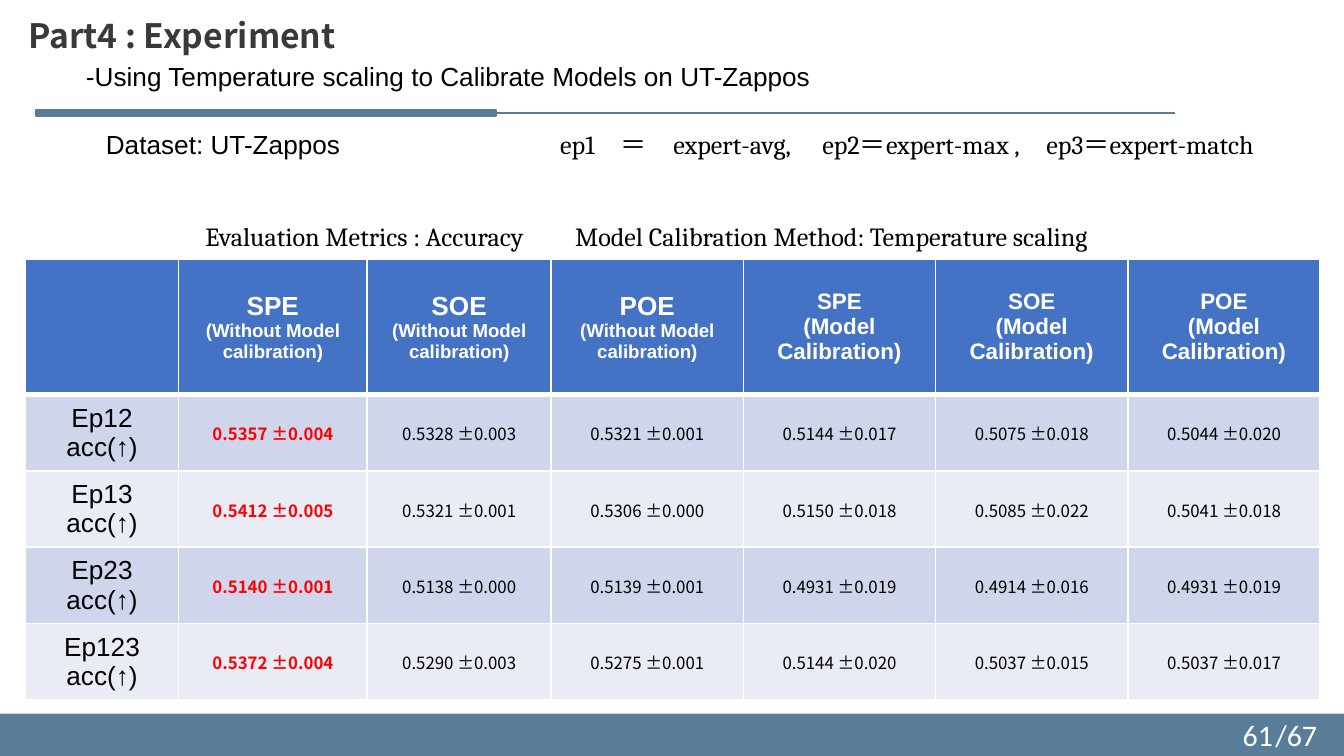
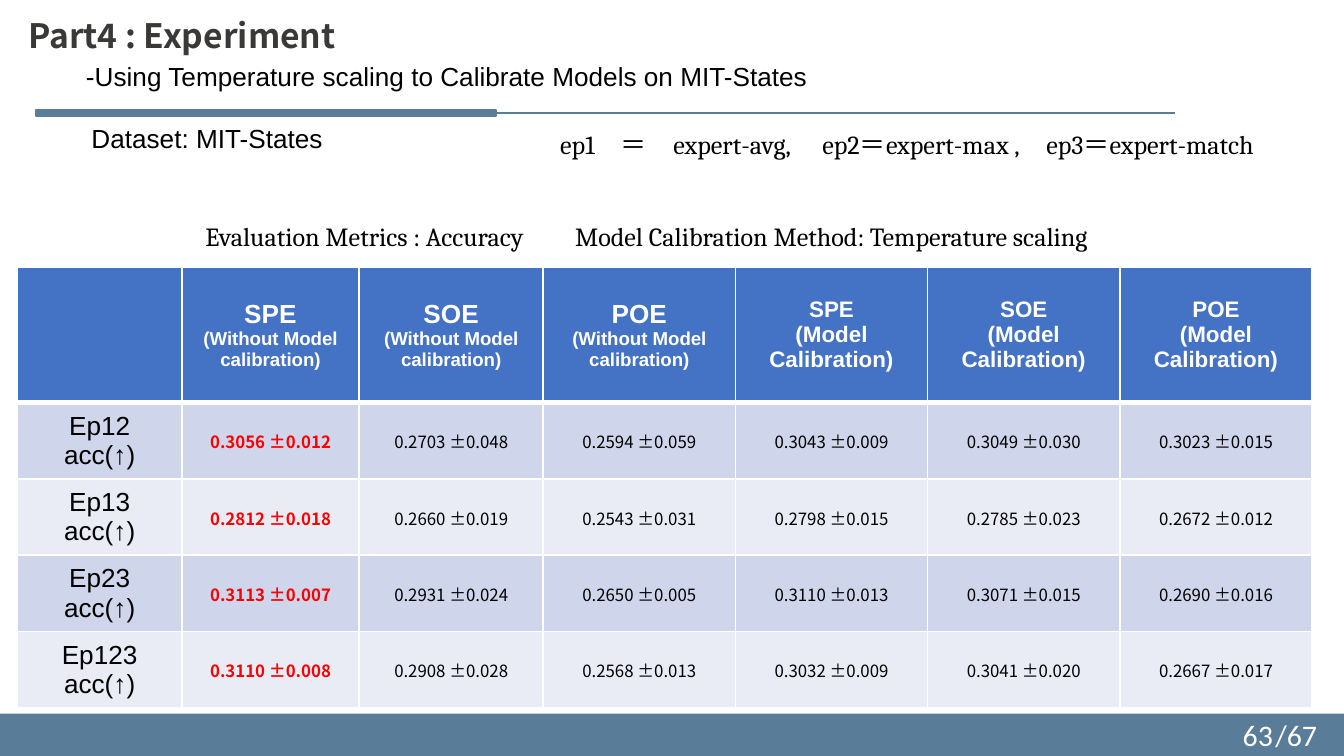
from lxml import etree
from pptx import Presentation
from pptx.dml.color import RGBColor
from pptx.enum.shapes import MSO_CONNECTOR, MSO_SHAPE
from pptx.enum.text import MSO_ANCHOR, PP_ALIGN
from pptx.oxml.ns import qn
from pptx.util import Pt

LEFT, MID, RIGHT = PP_ALIGN.LEFT, PP_ALIGN.CENTER, PP_ALIGN.RIGHT
TOP, CENTER = MSO_ANCHOR.TOP, MSO_ANCHOR.MIDDLE
RECT, LINE = MSO_SHAPE.RECTANGLE, MSO_CONNECTOR.STRAIGHT

STEEL, BLUE, WHITE = "597D98", "4472C4", "FFFFFF"
BANDS = ["CFD5EA", "E9EBF5"]

STYLES = {
    "title": {"name": "Noto Sans CJK SC", "size": Pt(18), "bold": True, "color": "3B3838"},
    "plain": {"name": "Arial", "size": Pt(14), "bold": False, "color": "000000"},
    "serif": {"name": "Cambria", "size": Pt(14), "bold": False, "color": "000000"},
    "page": {"name": "Calibri", "size": Pt(16), "bold": False, "color": WHITE},
    "head": {"name": "Arial", "size": Pt(14), "bold": True, "color": WHITE},
    "mid": {"name": "Arial", "size": Pt(12), "bold": True, "color": WHITE},
    "small": {"name": "Arial", "size": Pt(10), "bold": True, "color": WHITE},
    "value": {"name": "Noto Sans CJK JP", "size": Pt(9), "bold": False, "color": "000000"},
    "best": {"name": "Noto Sans CJK JP", "size": Pt(9), "bold": True, "color": "FF0000"},
}

HEADS = [(name, note, top, low)
         for note, top, low in [("(Without Model calibration)", "head", "small"),
                                ("(Model Calibration)", "mid", "mid")]
         for name in ["SPE", "SOE", "POE"]]
PAIRS = ["Ep12", "Ep13", "Ep23", "Ep123"]

PAGES = [
    {
        "data": "UT-Zappos", "page": "61", "label": (16.5, 65),
        "table": (13.7, 139), "cols": [82, 101],
        "rows": [
            ["0.5357 ±0.004", "0.5328 ±0.003", "0.5321 ±0.001",
             "0.5144 ±0.017", "0.5075 ±0.018", "0.5044 ±0.020"],
            ["0.5412 ±0.005", "0.5321 ±0.001", "0.5306 ±0.000",
             "0.5150 ±0.018", "0.5085 ±0.022", "0.5041 ±0.018"],
            ["0.5140 ±0.001", "0.5138 ±0.000", "0.5139 ±0.001",
             "0.4931 ±0.019", "0.4914 ±0.016", "0.4931 ±0.019"],
            ["0.5372 ±0.004", "0.5290 ±0.003", "0.5275 ±0.001",
             "0.5144 ±0.020", "0.5037 ±0.015", "0.5037 ±0.017"],
        ],
    },
    {
        "data": "MIT-States", "page": "63", "label": (8, 62),
        "table": (9.4, 143.3), "cols": [88, 95],
        "rows": [
            ["0.3056 ±0.012", "0.2703 ±0.048", "0.2594 ±0.059",
             "0.3043 ±0.009", "0.3049 ±0.030", "0.3023 ±0.015"],
            ["0.2812 ±0.018", "0.2660 ±0.019", "0.2543 ±0.031",
             "0.2798 ±0.015", "0.2785 ±0.023", "0.2672 ±0.012"],
            ["0.3113 ±0.007", "0.2931 ±0.024", "0.2650 ±0.005",
             "0.3110 ±0.013", "0.3071 ±0.015", "0.2690 ±0.016"],
            ["0.3110 ±0.008", "0.2908 ±0.028", "0.2568 ±0.013",
             "0.3032 ±0.009", "0.3041 ±0.020", "0.2667 ±0.017"],
        ],
    },
]


def paint(fill, color):
    fill.solid()
    fill.fore_color.rgb = RGBColor.from_string(color)


def write(frame, lines, align=LEFT):
    """Fill a text frame with (text, style name) paragraphs."""
    frame.word_wrap = True
    for i, (text, style) in enumerate(lines):
        para = frame.paragraphs[0] if i == 0 else frame.add_paragraph()
        para.alignment = align
        run = para.add_run()
        run.text = text
        for key, value in STYLES[style].items():
            if key == "color":
                paint(run.font.fill, value)
            else:
                setattr(run.font, key, value)


deck = Presentation()
deck.slide_width, deck.slide_height = Pt(720), Pt(405)
layout = deck.slide_layouts[5]
for holder in list(layout.placeholders)[1:]:
    holder.element.getparent().remove(holder.element)

# Footer band and heading rule, drawn once and moved to the layout
slides = [deck.slides.add_slide(layout) for _ in PAGES]
shapes = slides[0].shapes
foot = shapes.add_shape(RECT, 0, Pt(382.3), Pt(720), Pt(22.7))
bar = shapes.add_shape(RECT, Pt(19.4), Pt(59), Pt(246.2), Pt(3.3))
for band in [foot, bar]:
    band.shadow.inherit = False
    paint(band.fill, STEEL)
foot.line.fill.background()
paint(bar.line.fill, STEEL)
bar.line.width = Pt(1)
rule = shapes.add_connector(LINE, Pt(629.3), Pt(60.5), Pt(19.4), Pt(60.5))
paint(rule.line.fill, STEEL)
rule.line.width = Pt(0.75)
etree.SubElement(rule.element.spPr, qn("a:effectLst"))
for part in [foot, rule, bar]:
    layout.shapes.element.append(part.element)

for slide, page in zip(slides, PAGES):
    title = slide.shapes.title
    title.left, title.top, title.width, title.height = Pt(8), Pt(4.3), Pt(509), Pt(29)
    title.text_frame.vertical_anchor = TOP
    write(title.text_frame, [("Part4 : Experiment", "title")])

    data = page["data"]
    x, y = page["label"]
    for left, top, width, height, text, style, align, anchor in [
        (39, 29, 703, 24.5, f"-Using Temperature scaling to Calibrate Models on {data}",
         "plain", LEFT, TOP),
        (x, y, 206, 24.5, f"Dataset: {data}", "plain", MID, TOP),
        (293, 65, 409, 24.5, "ep1　＝　expert-avg, 　ep2＝expert-max ,　ep3＝expert-match",
         "serif", LEFT, TOP),
        (103, 114.5, 579, 24.5,
         "Evaluation Metrics : Accuracy\tModel Calibration Method: Temperature scaling",
         "serif", LEFT, TOP),
        (670.3, 383, 48.2, 21.6, "/67", "page", MID, CENTER),
        (527, 383, 162, 21.6, page["page"], "page", RIGHT, CENTER),
    ]:
        box = slide.shapes.add_textbox(Pt(left), Pt(top), Pt(width), Pt(height))
        frame = box.text_frame
        frame.vertical_anchor = anchor
        if "\t" in text:
            props = frame.paragraphs[0]._p.get_or_add_pPr()
            tabs = etree.SubElement(props, qn("a:tabLst"))
            etree.SubElement(tabs, qn("a:tab"), pos=str(Pt(198)), algn="l")
        write(frame, [(text, style)], align)

    cols = page["cols"] + [98.6] + [103] * 3 + [103]
    cols = cols[:7]
    x, y = page["table"]
    table = slide.shapes.add_table(5, 7, Pt(x), Pt(y), Pt(sum(cols)), Pt(236)).table
    for col, width in zip(table.columns, cols):
        col.width = Pt(width)
    for i, row in enumerate(table.rows):
        row.height = Pt(40.9 if i else 72.4)
        for j, cell in enumerate(row.cells):
            props = cell._tc.get_or_add_tcPr()
            for side in ["lnL", "lnR", "lnT", "lnB"]:
                thick = (i == 0 and side == "lnB") or (i == 1 and side == "lnT")
                edge = etree.SubElement(props, qn(f"a:{side}"), w=str(Pt(3 if thick else 1)))
                ink = etree.SubElement(edge, qn("a:solidFill"))
                etree.SubElement(ink, qn("a:srgbClr"), val=WHITE)
            paint(cell.fill, BANDS[(i - 1) % 2] if i else BLUE)
            cell.vertical_anchor = CENTER
            if i and j:
                cell.margin_left = cell.margin_right = cell.margin_top = Pt(0.75)
                cell.margin_bottom = 0
                lines = [(page["rows"][i - 1][j - 1], "best" if j == 1 else "value")]
            elif i:
                lines = [(PAIRS[i - 1], "plain"), ("acc(↑)", "plain")]
            elif j:
                name, note, top, low = HEADS[j - 1]
                lines = [(name, top), (note, low)]
            else:
                continue
            write(cell.text_frame, lines, MID)

deck.save("out.pptx")
